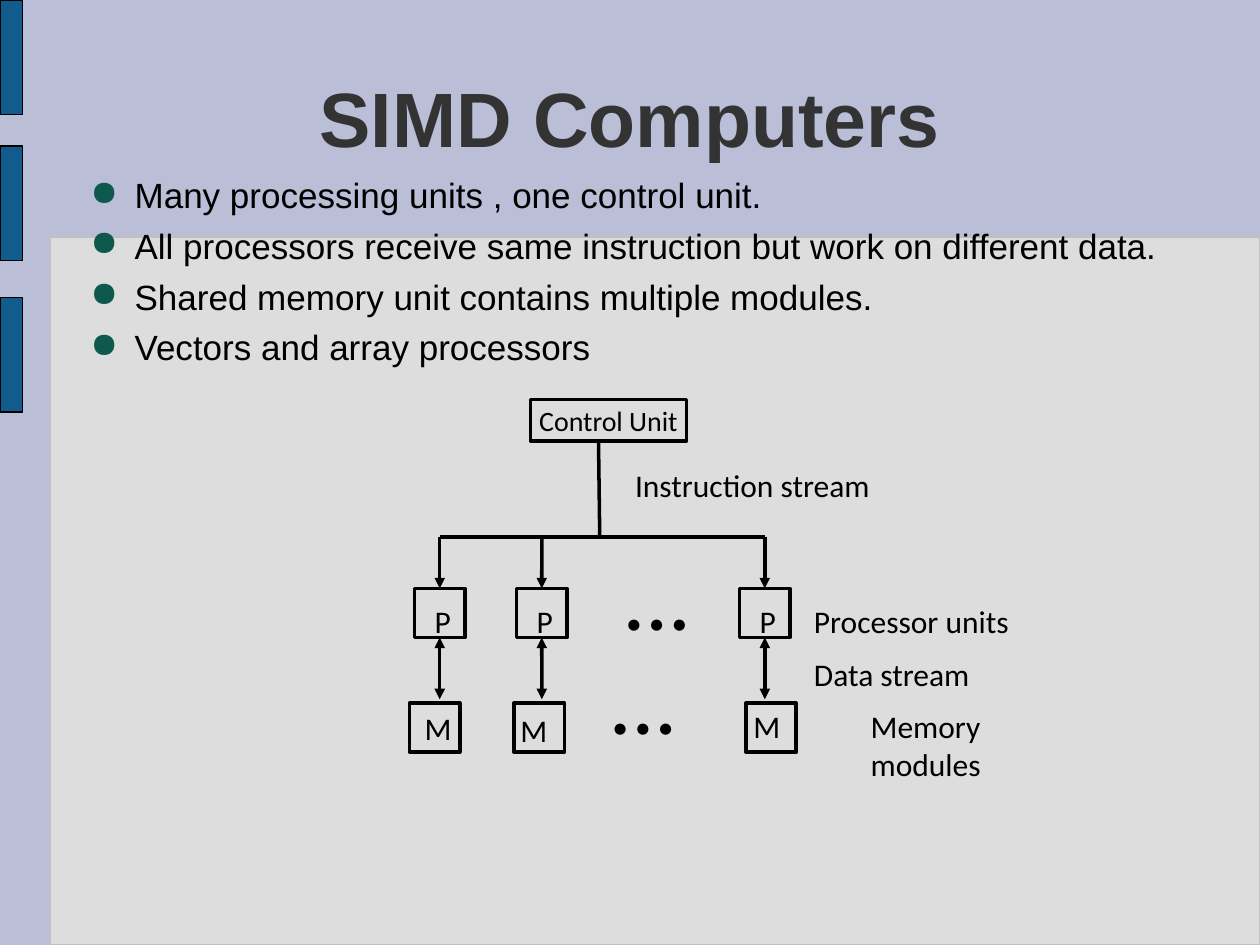
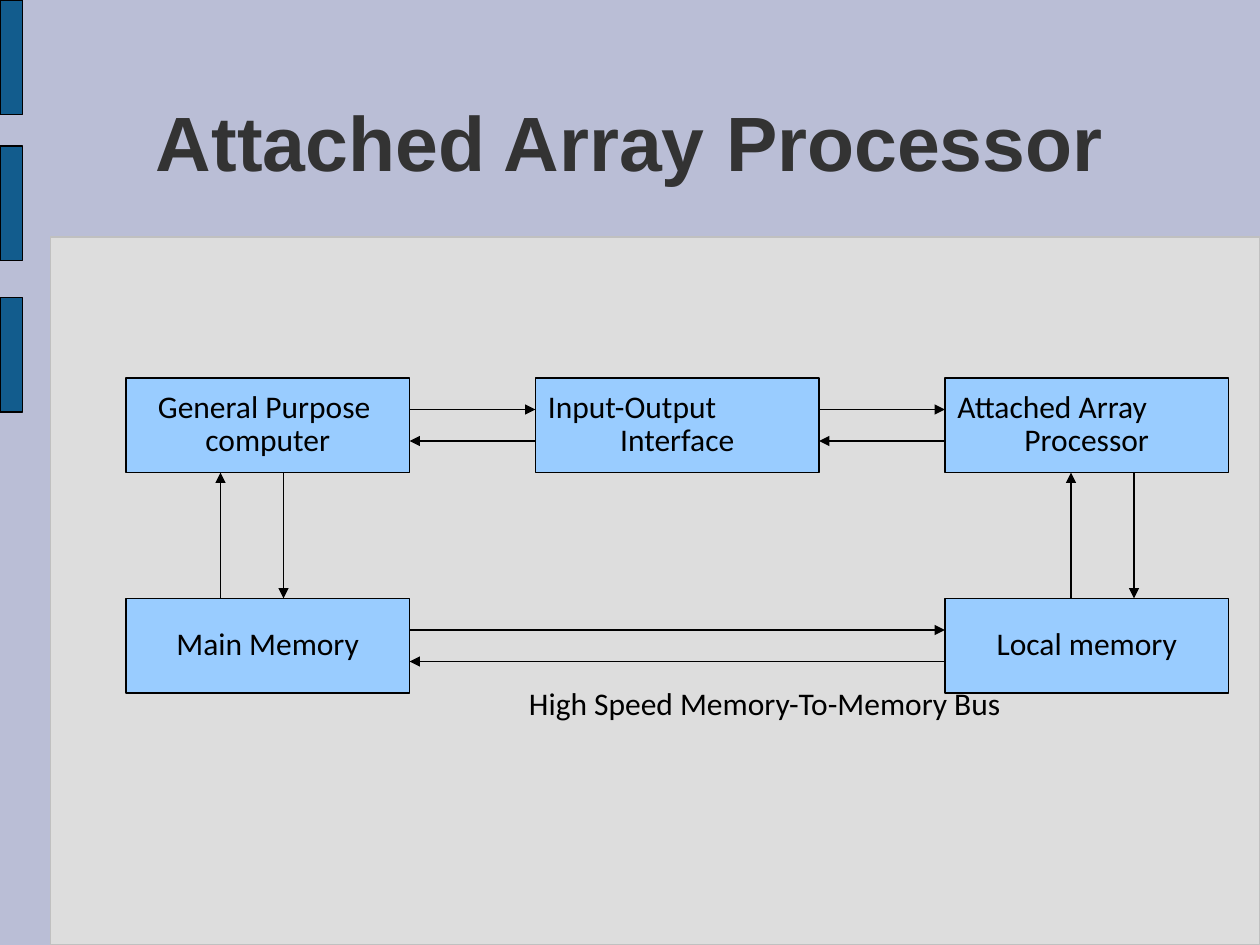
import pptx
import pptx.util
import pptx.dml.color
import pptx.enum.shapes
import pptx.enum.text
import pptx.oxml.ns
import lxml.etree

Inches = pptx.util.Inches
Pt = pptx.util.Pt
RGBColor = pptx.dml.color.RGBColor
Align = pptx.enum.text.PP_ALIGN
Anchor = pptx.enum.text.MSO_ANCHOR
qn = pptx.oxml.ns.qn

BACK = RGBColor(0xBA, 0xBE, 0xD6)
PANEL = RGBColor(0xDD, 0xDD, 0xDD)
EDGE = RGBColor(0xC0, 0xC0, 0xC0)
STRIPE = RGBColor(0x12, 0x5C, 0x8D)
BLOCK = RGBColor(0x99, 0xCC, 0xFF)
DARK = RGBColor(0x33, 0x33, 0x33)
BLACK = RGBColor(0, 0, 0)
BULLET = RGBColor(0x0E, 0x59, 0x4D)

THIN, THICK = 0.75, 2
SMALL = (0.07, 0.03)
WIDE = (0.1, 0.05)


def add_sub(node, tag, **attrs):
    return lxml.etree.SubElement(node, qn(tag), **attrs)


def write(shape, text, size=18, font="Calibri", color=BLACK, bold=False,
          align=Align.LEFT, first=None, anchor=Anchor.TOP, inset=WIDE,
          wrap=True, lead=None, gap=0, bullet=False):
    """Put each line of text in its own paragraph; first aligns line one."""
    frame = shape.text_frame
    frame.word_wrap = wrap
    frame.vertical_anchor = anchor
    frame.margin_left = frame.margin_right = Inches(inset[0])
    frame.margin_top = frame.margin_bottom = Inches(inset[1])
    for i, line in enumerate(text.split("\n")):
        para = frame.add_paragraph() if i else frame.paragraphs[0]
        if bullet:
            props = para._p.get_or_add_pPr()
            props.set("marL", str(Inches(0.47)))
            props.set("indent", str(Inches(-0.35)))
            tint = add_sub(props, "a:buClr")
            add_sub(tint, "a:srgbClr", val=str(BULLET))
            add_sub(props, "a:buChar", char="●")
        para.alignment = align if i or first is None else first
        if lead:
            para.line_spacing = lead
        if i and gap:
            para.space_before = Pt(gap)
        run = para.add_run()
        run.text = line
        run.font.size = Pt(size)
        run.font.name = font
        run.font.bold = bold
        run.font.color.rgb = color


class Deck:
    def __init__(self):
        self.file = pptx.Presentation()
        self.file.slide_width = Inches(10)
        self.file.slide_height = Inches(7.5)
        self.slide = None

    def start(self, title, *place, **style):
        """Begin a slide with the shared backdrop and a title."""
        self.slide = self.file.slides.add_slide(self.file.slide_layouts[6])
        back = self.slide.background.fill
        back.solid()
        back.fore_color.rgb = BACK
        self.box(0.4, 1.88, 9.6, 5.62, PANEL, EDGE)
        for top in (0, 1.16, 2.36):
            self.box(0, top, 0.18, 0.91, STRIPE)
        self.text(title, *place, size=44, font="Arial", color=DARK, bold=True,
                  align=Align.CENTER, anchor=Anchor.MIDDLE, **style)

    def box(self, left, top, width, height, fill=None, line=BLACK, weight=THIN):
        shape = self.slide.shapes.add_shape(
            pptx.enum.shapes.MSO_SHAPE.RECTANGLE,
            Inches(left), Inches(top), Inches(width), Inches(height))
        shape.shadow.inherit = False
        if fill is None:
            shape.fill.background()
        else:
            shape.fill.solid()
            shape.fill.fore_color.rgb = fill
        shape.line.color.rgb = line
        shape.line.width = Pt(weight)
        return shape

    def text(self, text, left, top, width, height, **style):
        shape = self.slide.shapes.add_textbox(
            Inches(left), Inches(top), Inches(width), Inches(height))
        write(shape, text, **style)

    def label(self, text, left, top, width):
        self.text(text, left, top, width, 0.36, inset=SMALL, wrap=False)

    def line(self, x1, y1, x2, y2, weight=THIN, ends=("tail",)):
        """Draw a line; ends names where arrowheads go (head is the start)."""
        line = self.slide.shapes.add_connector(
            pptx.enum.shapes.MSO_CONNECTOR.STRAIGHT,
            Inches(x1), Inches(y1), Inches(x2), Inches(y2))
        line.line.color.rgb = BLACK
        line.line.width = Pt(weight)
        for end in ends:
            add_sub(line.line._get_or_add_ln(), f"a:{end}End", type="triangle")
        add_sub(line._element.spPr, "a:effectLst")
        return line


def draw_simd(deck):
    deck.start("SIMD Computers", 0.5, 0.3, 9, 1.25)
    deck.text("Many processing units , one control unit.\n"
              "All processors receive same instruction but work on different data.\n"
              "Shared memory unit contains multiple modules.\n"
              "Vectors and array processors",
              0.5, 1.33, 9, 5.37, size=20, font="Arial", gap=5, bullet=True)

    control = deck.box(4.21, 3.17, 1.24, 0.33, weight=THICK)
    write(control, "Control Unit", size=16, inset=SMALL, wrap=False, lead=1.01)
    bus = 4.26
    deck.line(3.49, bus, 6.07, bus, THICK, ())
    deck.line(4.75, 3.5, 4.76, bus, THICK, ())

    side, rise = 0.4, 0.39
    # left of processor, left of memory, place of the memory letter
    lanes = ((3.29, 3.25, 3.3, 5.6), (4.1, 4.08, 4.06, 5.61),
             (5.87, 5.92, 5.91, 5.58))
    for left, store, x, y in lanes:
        mid = left + side / 2
        unit = deck.box(left, 4.67, side, rise, weight=THICK)
        deck.label("P", left + 0.09, 4.75, 0.27)
        deck.box(store, 5.58, side, rise, weight=THICK)
        deck.label("M", x, y, 0.35)
        deck.line(mid, bus, mid, 4.67, THICK).end_connect(unit, 0)
        data = deck.line(mid, 5.06, mid, 5.55, THICK, ("head", "tail"))
        data.begin_connect(unit, 2)

    for note in (("• • •", 4.9, 4.76, 0.63),
                 ("• • •", 4.79, 5.58, 0.63),
                 ("Instruction stream", 4.97, 3.67, 2.01),
                 ("Processor units", 6.39, 4.75, 1.69),
                 ("Data stream", 6.39, 5.17, 1.39),
                 ("Memory modules", 6.84, 5.58, 1.94)):
        deck.label(*note)


def draw_array(deck):
    deck.start("Attached Array Processor", 0.73, 0.49, 8.54, 1.36,
               inset=(0, 0), lead=0.87)
    wide, high = 2.25, 0.75
    cols = (1, 4.25, 7.5)
    upper, lower = 3, 4.75
    for text, left, top, first in (
            ("General Purpose \ncomputer", cols[0], upper, None),
            ("Input-Output\nInterface", cols[1], upper, Align.LEFT),
            ("Attached Array\nProcessor", cols[2], upper, Align.LEFT),
            ("Main Memory", cols[0], lower, None),
            ("Local memory", cols[2], lower, None)):
        block = deck.box(left, top, wide, high, BLOCK)
        write(block, text, align=Align.CENTER, first=first,
              anchor=Anchor.MIDDLE, lead=0.87)

    for start, end, top in ((cols[0], cols[1], upper),
                            (cols[1], cols[2], upper),
                            (cols[0], cols[2], lower)):
        deck.line(start + wide, top + 0.25, end, top + 0.25)
        deck.line(end, top + 0.5, start + wide, top + 0.5)
    for up in (1.75, 8.5):
        deck.line(up, lower, up, upper + high)
        deck.line(up + 0.5, upper + high, up + 0.5, lower)
    deck.text("High Speed Memory-To-Memory Bus", 4.1, 5.41, 3.97, 0.38,
              wrap=False, lead=0.93)


def main():
    deck = Deck()
    draw_simd(deck)
    draw_array(deck)
    deck.file.save("out.pptx")


if __name__ == "__main__":
    main()
